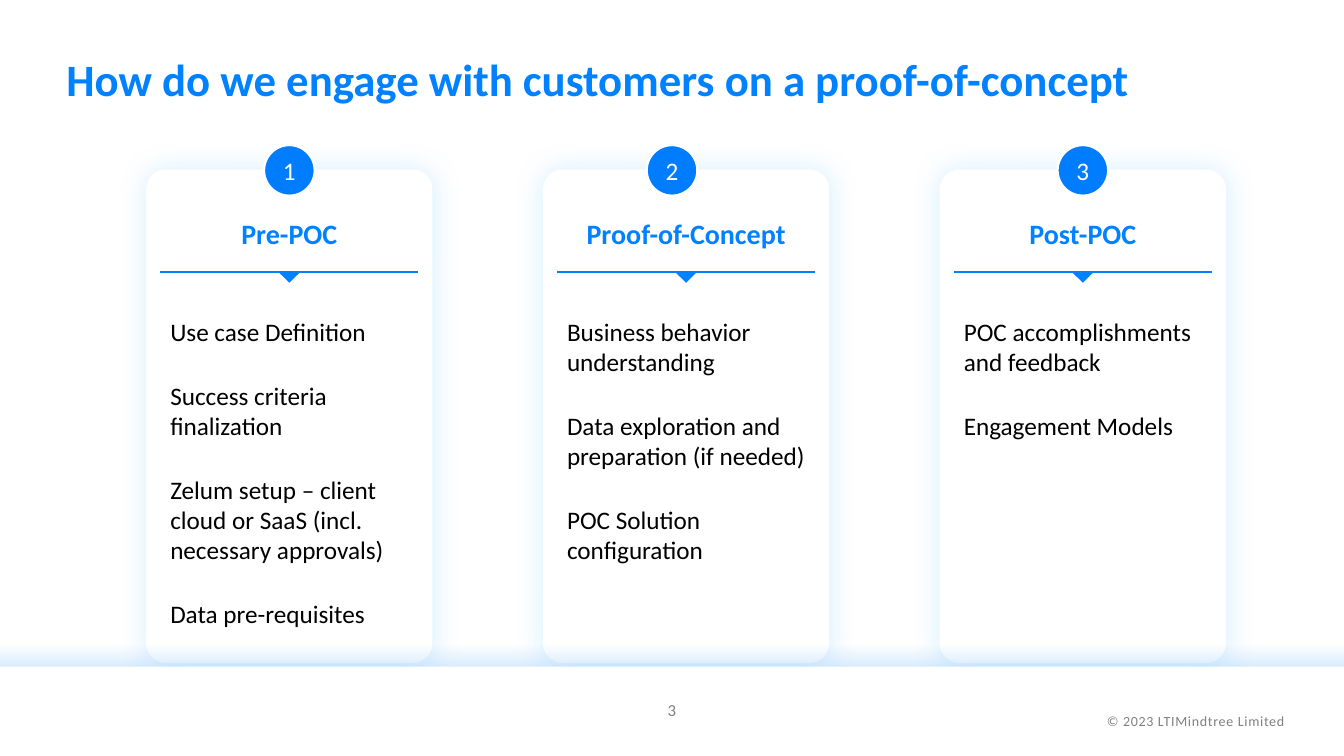
"""Build a slide of three numbered cards on running a proof-of-concept."""
from dataclasses import dataclass

from lxml.etree import SubElement
from pptx import Presentation
from pptx.dml.color import RGBColor as Rgb
from pptx.enum.shapes import MSO_CONNECTOR as Connector, MSO_SHAPE as Preset
from pptx.enum.text import MSO_ANCHOR as Anchor, PP_ALIGN as Align
from pptx.oxml.ns import qn
from pptx.util import Emu, Inches, Pt


@dataclass(frozen=True)
class Theme:
    font: str = "Calibri"
    accent: Rgb = Rgb.from_string("0081FF")
    badge: Rgb = Rgb.from_string("007CFF")
    glow: Rgb = Rgb.from_string("9BD9FF")
    white: Rgb = Rgb.from_string("FFFFFF")
    ink: Rgb = Rgb.from_string("000000")
    muted: Rgb = Rgb.from_string("808080")
    title_size: float = 32
    heading_size: float = 20
    body_size: float = 18
    page_size: float = 12
    copyright_size: float = 10


@dataclass(frozen=True)
class Area:
    """A box in percent of the slide's width and height."""
    left: float
    top: float
    width: float
    height: float

    def emu(self) -> tuple[Emu, Emu, Emu, Emu]:
        return across(self.left), down(self.top), across(self.width), down(self.height)


@dataclass(frozen=True)
class Stage:
    heading: str
    steps: tuple[str, ...]
    badge_shift: float = 0


THEME = Theme()
WIDTH, HEIGHT = Inches(13.33), Inches(7.5)
CARD_LEFT, CARD_WIDTH, CARD_PITCH, CARD_INSET = 10.88, 21.3, 29.52, 1.05
RULE_TOP, FOOTER_TOP, FADE_HEIGHT = 36, 88.2, 2.9

STAGES = (
    Stage("Pre-POC", (
        "Use case Definition",
        "Success criteria finalization",
        "Zelum setup – client cloud or SaaS (incl. necessary approvals)",
        "Data pre-requisites",
    )),
    Stage("Proof-of-Concept", (
        "Business behavior understanding",
        "Data exploration and preparation (if needed)",
        "POC Solution configuration",
    ), badge_shift=-1.05),
    Stage("Post-POC", ("POC accomplishments and feedback", "Engagement Models")),
)


def across(percent: float) -> Emu:
    return Emu(round(WIDTH * percent / 100))


def down(percent: float) -> Emu:
    return Emu(round(HEIGHT * percent / 100))


def write(frame, *lines: str, size: float, color: Rgb, bold: bool = False,
          align=Align.LEFT, anchor=Anchor.TOP, gap: float = 0, tracking: float = 0,
          inset: float = 0.1) -> None:
    """Fill a text frame with one paragraph per line."""
    frame.word_wrap = True
    frame.vertical_anchor = anchor
    frame.margin_left = frame.margin_right = Inches(inset)
    for index, line in enumerate(lines):
        paragraph = frame.paragraphs[0] if index == 0 else frame.add_paragraph()
        paragraph.alignment = align
        if gap:
            paragraph.space_after = Pt(gap)
            if index:
                paragraph.space_before = Pt(gap)
        run = paragraph.add_run()
        run.text = line
        run.font.name, run.font.size, run.font.bold = THEME.font, Pt(size), bold
        run.font.color.rgb = color
        if tracking:
            run.font._element.set("spc", str(round(tracking * 100)))


def add_text(slide, area: Area, *lines: str, **style) -> None:
    """Add a text box in the given area."""
    write(slide.shapes.add_textbox(*area.emu()).text_frame, *lines, **style)


def add_solid(slide, preset: Preset, area: Area, color: Rgb):
    """Add a flat shape without outline or shadow."""
    solid = slide.shapes.add_shape(preset, *area.emu())
    solid.shadow.inherit = False
    solid.fill.solid()
    solid.fill.fore_color.rgb = color
    solid.line.fill.background()
    return solid


def add_alpha(color_element, percent: float) -> None:
    """Set the opacity of a colour element."""
    SubElement(color_element, qn("a:alpha")).set("val", str(round(percent * 1000)))


def add_card(slide, left: float) -> None:
    """Add a rounded white card with a soft glow."""
    card = add_solid(slide, Preset.ROUNDED_RECTANGLE,
                     Area(left, 22.4, CARD_WIDTH, 65.33), THEME.white)
    card.adjustments[0] = 0.07
    effects = card._element.spPr.find(qn("a:effectLst"))
    glow = SubElement(effects, qn("a:outerShdw"), blurRad=str(Pt(20)), dist="0",
                      dir="0", algn="ctr", rotWithShape="0")
    add_alpha(SubElement(glow, qn("a:srgbClr"), val=str(THEME.glow)), 42)


def add_rule(slide, left: float) -> None:
    """Add the heading rule with its downward pointer."""
    start, end = left + CARD_INSET, left + CARD_WIDTH - CARD_INSET
    rule = slide.shapes.add_connector(Connector.STRAIGHT, across(start), down(RULE_TOP),
                                      across(end), down(RULE_TOP))
    rule.line.color.rgb, rule.line.width = THEME.accent, Pt(1)
    SubElement(rule._element.spPr, qn("a:effectLst"))
    pointer = add_solid(slide, Preset.ISOSCELES_TRIANGLE,
                        Area((start + end) / 2 - 0.8, RULE_TOP, 1.6, 1.4), THEME.accent)
    pointer.rotation = 180


def add_footer(slide) -> None:
    """Add the white footer, the fade above it and its texts."""
    fade = add_solid(slide, Preset.RECTANGLE,
                     Area(0, FOOTER_TOP - FADE_HEIGHT, 100, FADE_HEIGHT), THEME.accent)
    fade.fill.gradient()
    fade.fill.gradient_angle = 270
    for stop, opacity in zip(fade.fill.gradient_stops, (0, 16)):
        stop.color.rgb = THEME.accent
        add_alpha(stop._gs[0], opacity)
    add_solid(slide, Preset.RECTANGLE,
              Area(0, FOOTER_TOP, 100, 100 - FOOTER_TOP), THEME.white)
    add_text(slide, Area(69.9, 93.6, 26.4, 3.6), "© 2023 LTIMindtree Limited",
             size=THEME.copyright_size, color=THEME.muted, align=Align.RIGHT, tracking=0.5)
    add_text(slide, Area(46.6, 91.87, 6.8, 4.67), "3",
             size=THEME.page_size, color=THEME.muted, align=Align.CENTER)


def add_stage_text(slide, left: float, stage: Stage) -> None:
    """Add the heading and the steps of one stage."""
    inner_left, inner_width = left + CARD_INSET, CARD_WIDTH - 2 * CARD_INSET
    add_text(slide, Area(inner_left, 25.87, inner_width, 10), stage.heading,
             size=THEME.heading_size, color=THEME.accent, bold=True,
             align=Align.CENTER, anchor=Anchor.MIDDLE)
    add_text(slide, Area(inner_left, 41.2, inner_width, 43.6), *stage.steps,
             size=THEME.body_size, color=THEME.ink, gap=12)


def add_badge(slide, left: float, number: int, shift: float) -> None:
    """Add the numbered circle on a card's top edge."""
    center = left + CARD_WIDTH / 2 + shift
    badge = add_solid(slide, Preset.OVAL, Area(center - 1.88, 19.2, 3.76, 6.67), THEME.badge)
    badge.line.color.rgb, badge.line.width = THEME.white, Pt(1.5)
    write(badge.text_frame, str(number), size=THEME.body_size, color=THEME.white,
          align=Align.CENTER, anchor=Anchor.MIDDLE, inset=0)


def main() -> None:
    """Compose and save the slide."""
    deck = Presentation()
    deck.slide_width, deck.slide_height = WIDTH, HEIGHT
    slide = deck.slides.add_slide(deck.slide_layouts[6])
    lefts = [CARD_LEFT + CARD_PITCH * column for column in range(len(STAGES))]
    for left in lefts:
        add_card(slide, left)
        add_rule(slide, left)
    add_footer(slide)
    add_text(slide, Area(4.2, 6.13, 93.7, 10),
             "How do we engage with customers on a proof-of-concept",
             size=THEME.title_size, color=THEME.accent, bold=True)
    for number, (left, stage) in enumerate(zip(lefts, STAGES), start=1):
        add_stage_text(slide, left, stage)
        add_badge(slide, left, number, stage.badge_shift)
    deck.save("out.pptx")


if __name__ == "__main__":
    main()
